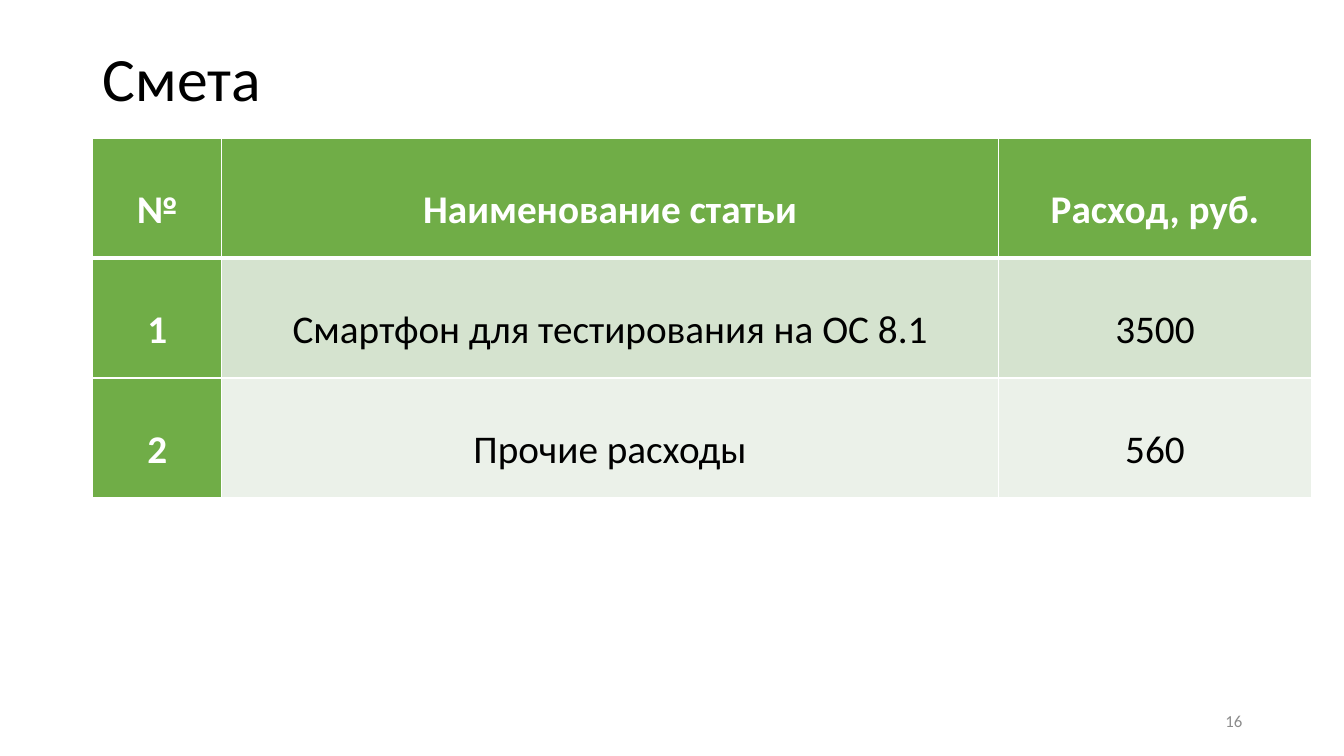
from lxml import etree
from pptx import Presentation
from pptx import util as u
from pptx.dml.color import RGBColor
from pptx.enum import text
from pptx.oxml.ns import qn

TITLE = "Смета"
PAGE = "16"
ROWS = [
    ("№", "Наименование статьи", "Расход, руб."),
    ("1", "Смартфон для тестирования на ОС 8.1", "3500"),
    ("2", "Прочие расходы", "560"),
]
COLS = (1.28, 7.7, 3.11)
ROW_H = 1.19
LEFT, TOP = 0.92, 1.37
WIDTH, HEIGHT = 13.33, 7.5
GREEN, WHITE, BLACK, GREY = "70AD47", "FFFFFF", "000000", "8C8C8C"
BANDS = ("EBF1E9", "D5E3CF")
ALIGN = text.PP_ALIGN


def rgb(value):
    return RGBColor.from_string(value)


def write(tf, words, size, color=BLACK, bold=False, align=ALIGN.LEFT, spacing=1.0):
    p = tf.paragraphs[0]
    p.alignment, p.line_spacing = align, spacing
    r = p.add_run()
    r.text = words
    r.font.name, r.font.size, r.font.bold = "Calibri", u.Pt(size), bold
    r.font.color.rgb = rgb(color)


def add_text(s, box, words, size, **style):
    tf = s.shapes.add_textbox(*map(u.Inches, box)).text_frame
    tf.word_wrap = True
    tf.vertical_anchor = text.MSO_ANCHOR.MIDDLE
    write(tf, words, size, **style)


def add_borders(cell, **widths):
    """Draw white cell borders; widths are in points, keyed L, R, T, B."""
    tc_pr = cell._tc.get_or_add_tcPr()
    for i, side in enumerate("LRTB"):
        ln = etree.Element(qn(f"a:ln{side}"), w=str(u.Pt(widths.get(side, 1))))
        fill = etree.SubElement(ln, qn("a:solidFill"))
        etree.SubElement(fill, qn("a:srgbClr"), val=WHITE)
        tc_pr.insert(i, ln)


def add_budget(s):
    box = (LEFT, TOP, sum(COLS), ROW_H * len(ROWS))
    table = s.shapes.add_table(len(ROWS), len(COLS), *map(u.Inches, box)).table
    for column, width in zip(table.columns, COLS):
        column.width = u.Inches(width)
    for i, row in enumerate(ROWS):
        table.rows[i].height = u.Inches(ROW_H)
        for j, words in enumerate(row):
            cell = table.cell(i, j)
            heading = i == 0 or j == 0
            cell.fill.solid()
            cell.fill.fore_color.rgb = rgb(GREEN if heading else BANDS[i % 2])
            cell.vertical_anchor = text.MSO_ANCHOR.MIDDLE
            cell.margin_left = cell.margin_right = u.Inches(0.07)
            cell.margin_top = cell.margin_bottom = 0
            write(cell.text_frame, words, 28, color=WHITE if heading else BLACK,
                  bold=heading, align=ALIGN.CENTER, spacing=1.5)
            add_borders(cell, T=3 if i == 1 else 1, B=3 if i == 0 else 1)


def main():
    prs = Presentation()
    prs.slide_width, prs.slide_height = u.Inches(WIDTH), u.Inches(HEIGHT)
    s = prs.slides.add_slide(prs.slide_layouts[6])
    add_text(s, (LEFT, 0.25, 11.5, 1.12), TITLE, 44, spacing=0.9)
    add_budget(s)
    add_text(s, (9.42, 6.95, 3, 0.4), PAGE, 12, color=GREY, align=ALIGN.RIGHT)
    prs.save("out.pptx")


if __name__ == "__main__":
    main()
